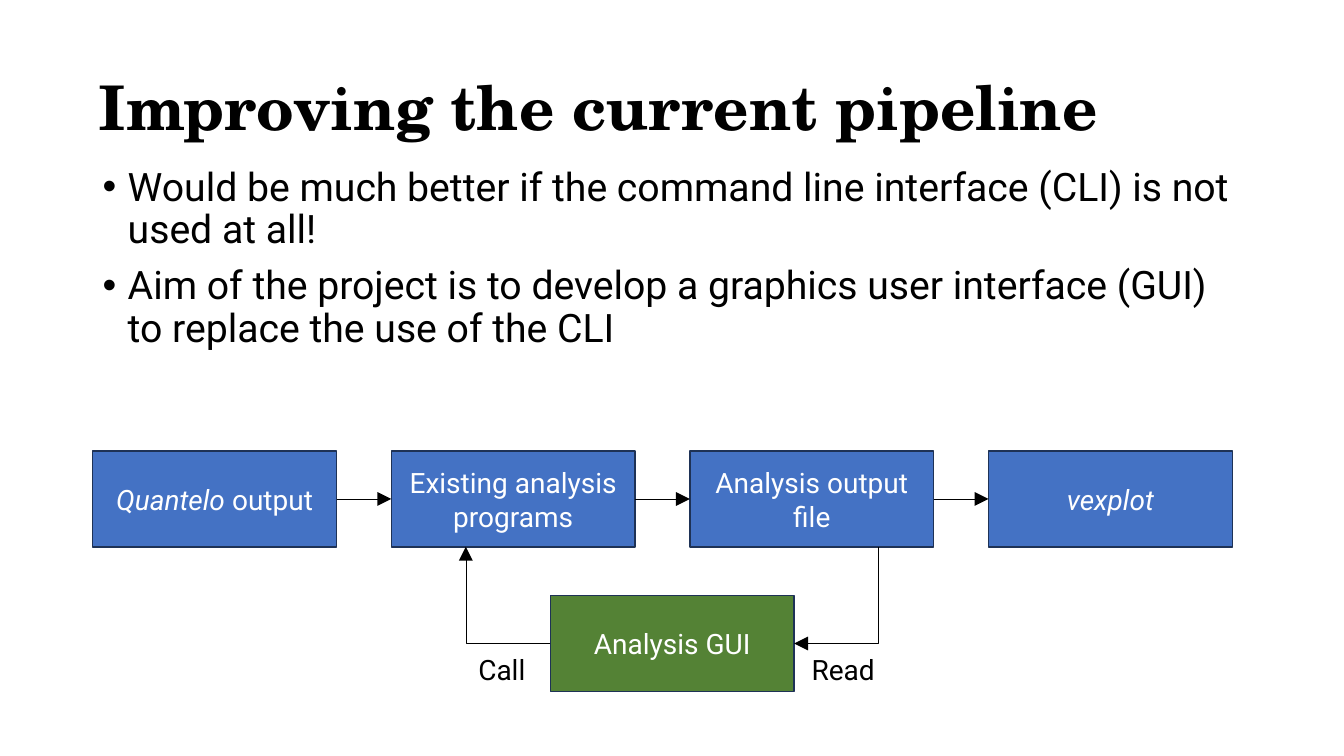
from dataclasses import dataclass

from lxml import etree
from pptx import Presentation
from pptx.dml.color import RGBColor
from pptx.enum import shapes, text
from pptx.oxml.ns import qn
from pptx.util import Pt

BLACK, WHITE, BLUE, GREEN, NAVY = "000000", "FFFFFF", "4472C4", "548235", "1E3256"
BODY_FONT, TITLE_FONT = "Roboto", "TeX Gyre Schola"
BOX_WIDTH, BOX_HEIGHT = 174.2, 68.4
STAGE_LEFT, STAGE_TOP, STAGE_STEP = 66.2, 322.2, 213.3
GUI_LEFT, GUI_TOP = 393.1, 425.5


@dataclass(frozen=True)
class Run:
    wording: str
    italic: bool = False


@dataclass(frozen=True)
class Box:
    left: float
    top: float
    fill: str
    runs: tuple[Run, ...]


@dataclass(frozen=True)
class Label:
    left: float
    top: float
    width: float
    height: float
    paragraphs: tuple[str, ...]
    font: dict
    layout: dict
    anchor: text.MSO_ANCHOR = text.MSO_ANCHOR.TOP
    bulleted: bool = False


@dataclass(frozen=True)
class Elbow:
    start_x: float
    end_x: float
    arrow: str


def color(value: str) -> RGBColor:
    return RGBColor.from_string(value)


def apply(target, values: dict) -> None:
    for name, value in values.items():
        setattr(target, name, value)


def add_run(paragraph, wording: str, font: dict, font_color: str) -> None:
    run = paragraph.add_run()
    run.text = wording
    apply(run.font, font)
    run.font.color.rgb = color(font_color)


def add_bullet(paragraph) -> None:
    """Give the paragraph a round bullet with a hanging indent."""
    properties = paragraph._p.get_or_add_pPr()
    properties.set("marL", str(Pt(18)))
    properties.set("indent", str(Pt(-18)))
    etree.SubElement(properties, qn("a:buFont")).set("typeface", "Arial")
    etree.SubElement(properties, qn("a:buChar")).set("char", "•")


def add_label(slide, label: Label) -> None:
    shape = slide.shapes.add_textbox(
        Pt(label.left), Pt(label.top), Pt(label.width), Pt(label.height))
    frame = shape.text_frame
    apply(frame, {"word_wrap": True, "vertical_anchor": label.anchor})
    for index, wording in enumerate(label.paragraphs):
        paragraph = frame.add_paragraph() if index else frame.paragraphs[0]
        apply(paragraph, label.layout)
        if label.bulleted:
            add_bullet(paragraph)
        add_run(paragraph, wording, label.font, BLACK)


def add_box(slide, box: Box):
    shape = slide.shapes.add_shape(
        shapes.MSO_SHAPE.RECTANGLE,
        Pt(box.left), Pt(box.top), Pt(BOX_WIDTH), Pt(BOX_HEIGHT))
    shape.shadow.inherit = False
    shape.fill.solid()
    shape.fill.fore_color.rgb = color(box.fill)
    shape.line.color.rgb = color(NAVY)
    shape.line.width = Pt(1)
    apply(shape.text_frame,
          {"word_wrap": True, "vertical_anchor": text.MSO_ANCHOR.MIDDLE})
    paragraph = shape.text_frame.paragraphs[0]
    paragraph.alignment = text.PP_ALIGN.CENTER
    for run in box.runs:
        font = {"name": BODY_FONT, "size": Pt(20), "italic": run.italic}
        add_run(paragraph, run.wording, font, WHITE)
    return shape


def style_arrow(connector, arrow: str) -> None:
    connector.line.color.rgb = color(BLACK)
    connector.line.width = Pt(0.5)
    outline = connector.line._get_or_add_ln()
    head = etree.SubElement(outline, qn(f"a:{arrow}"))
    for name, value in {"type": "triangle", "w": "lg", "len": "lg"}.items():
        head.set(name, value)
    etree.SubElement(connector._element.spPr, qn("a:effectLst"))


def join_stages(slide, source, target) -> None:
    """Draw an arrow from the right side of source to the left side of target."""
    connector = slide.shapes.add_connector(
        shapes.MSO_CONNECTOR.STRAIGHT, 0, 0, 0, 0)
    connector.begin_connect(source, 3)
    connector.end_connect(target, 1)
    style_arrow(connector, "tailEnd")


def add_elbow(slide, elbow: Elbow) -> None:
    """Draw a one-corner line from a side of the GUI box up to a stage."""
    connector = slide.shapes.add_connector(
        shapes.MSO_CONNECTOR.ELBOW,
        Pt(elbow.start_x), Pt(GUI_TOP + BOX_HEIGHT / 2),
        Pt(elbow.end_x), Pt(STAGE_TOP + BOX_HEIGHT))
    geometry = connector._element.spPr.find(qn("a:prstGeom"))
    geometry.set("prst", "bentConnector2")
    style_arrow(connector, elbow.arrow)


STAGES = (
    (Run("Quantelo", italic=True), Run(" output")),
    (Run("Existing analysis programs"),),
    (Run("Analysis output file"),),
    (Run("vexplot", italic=True),),
)
ELBOWS = (
    Elbow(GUI_LEFT, 332.8, "tailEnd"),
    Elbow(GUI_LEFT + BOX_WIDTH, 627.1, "headEnd"),
)
LABEL_FORMAT = {
    "font": {"name": BODY_FONT, "size": Pt(20)},
    "layout": {"alignment": text.PP_ALIGN.CENTER},
}
LABELS = (
    Label(63.4, 26.6, 828, 104.4, ("Improving the current pipeline",),
          {"name": TITLE_FONT, "size": Pt(44), "bold": True},
          {"line_spacing": 0.9}, anchor=text.MSO_ANCHOR.MIDDLE),
    Label(66.2, 115.9, 828, 171.4,
          ("Would be much better if the command line interface (CLI) is not used at all!",
           "Aim of the project is to develop a graphics user interface (GUI) "
           "to replace the use of the CLI"),
          {"name": BODY_FONT, "size": Pt(28)},
          {"line_spacing": 0.9, "space_before": Pt(10)}, bulleted=True),
    Label(332.6, 462.2, 51.8, 31.7, ("Call",), **LABEL_FORMAT),
    Label(572.4, 462.2, 59.8, 31.7, ("Read",), **LABEL_FORMAT),
)


def main() -> None:
    presentation = Presentation()
    apply(presentation, {"slide_width": Pt(960), "slide_height": Pt(540)})
    slide = presentation.slides.add_slide(presentation.slide_layouts[6])
    for label in LABELS:
        add_label(slide, label)
    stages = [
        add_box(slide, Box(STAGE_LEFT + index * STAGE_STEP, STAGE_TOP, BLUE, runs))
        for index, runs in enumerate(STAGES)
    ]
    add_box(slide, Box(GUI_LEFT, GUI_TOP, GREEN, (Run("Analysis GUI"),)))
    for source, target in zip(stages, stages[1:]):
        join_stages(slide, source, target)
    for elbow in ELBOWS:
        add_elbow(slide, elbow)
    presentation.save("out.pptx")


if __name__ == "__main__":
    main()
